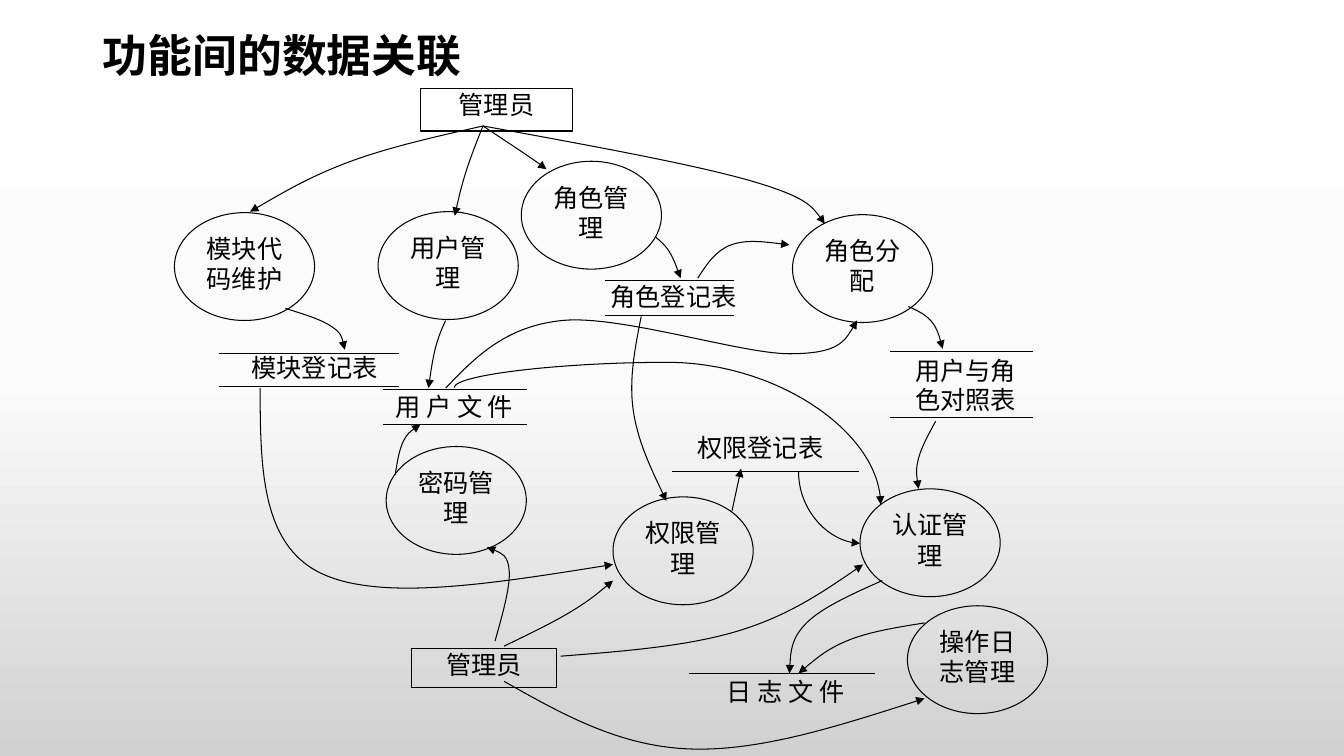
from copy import deepcopy

from lxml.etree import SubElement
from pptx import Presentation
from pptx.dml.color import RGBColor
from pptx.enum.shapes import MSO_CONNECTOR as Connector, MSO_SHAPE as Shape
from pptx.enum.text import MSO_ANCHOR as Anchor, PP_ALIGN as Align
from pptx.oxml.ns import qn
from pptx.util import Cm, Pt

GRID = Cm(2.54)
FONT = "Noto Sans CJK SC"
BLACK = RGBColor(0, 0, 0)
BACKGROUND = [
    RGBColor(0xFF, 0xFF, 0xFF),
    RGBColor(0xFB, 0xFB, 0xFB),
    RGBColor(0xD1, 0xD1, 0xD1),
]

TITLE = "功能间的数据关联"
TITLE_BOX = (0.92, 0.26, 8.5, 0.63)

PROCESS_SIZE = (1.39, 1.07)
PROCESSES = {
    "角色管理": (5.17, 1.6),
    "模块代码维护": (1.73, 2.11),
    "用户管理": (3.75, 2.1),
    "角色分配": (7.86, 2.13),
    "操作日志管理": (9, 6.01),
    "权限管理": (6.08, 4.93),
    "密码管理": (3.83, 4.43),
    "认证管理": (8.53, 4.85),
}

ACTOR = "管理员"
ACTOR_BOXES = [(4.17, 0.88, 1.51, 0.42), (4.08, 6.43, 1.44, 0.39)]

STORE_HEIGHT = 0.47
STORES = [
    ("权限登记表", (6.75, 4.26, 1.58), (6.67, 8.52), [4.68]),
    ("角色登记表", (5.92, 2.76, 1.52), (6, 7.28), [2.78, 3.13]),
    ("模块登记表", (2.08, 3.47, 2.08), (2.17, 3.96), [3.51, 3.83]),
    ("用 户 文 件", (3.85, 3.85, 1.31), (3.8, 5.23), [3.86, 4.21]),
    ("日 志 文 件", (6.75, 6.68, 2.08), (6.83, 8.68), [6.68]),
    ("用户与角色对照表", (8.92, 3.5, 1.31), (8.83, 10.25), [3.49, 4.14]),
]

ADMIN_START = (4.79, 1.25)
ADMIN_FLOWS = [
    [(3.48, 1.6), (2.48, 2.1)],
    [(4.62, 1.71), (4.51, 2.14)],
    [(5.24, 1.55), (5.42, 1.68)],
    [(7.43, 1.79), (8.18, 2.22)],
]
FLOWS = [[ADMIN_START, *points] for points in ADMIN_FLOWS] + [
    [(2.83, 3.06), (3.29, 3.24), (3.42, 3.47)],
    [(4.42, 3.18), (4.32, 3.45), (4.25, 3.85)],
    [(6.5, 2.35), (6.64, 2.5), (6.75, 2.76)],
    [(9.01, 3.04), (9.24, 3.19), (9.35, 3.46)],
    [(4.91, 6.36), (5.05, 5.66), (4.83, 5.43)],
    [(5, 6.41), (5.66, 6.07), (6.08, 5.76)],
    [(6.92, 2.76), (7.25, 2.43), (7.83, 2.43)],
    [(4.42, 3.85), (5.58, 3.18), (7.83, 3.51), (8.5, 3.18)],
    [(6.36, 3.14), (6.28, 4.06), (6.61, 4.97)],
    [(3.92, 4.71), (4, 4.38), (4.17, 4.21)],
    [(2.58, 3.85), (3.17, 5.68), (6.08, 5.6)],
    [(9.17, 6.18), (8.42, 6.35), (7.92, 6.68)],
    [(8.75, 5.76), (8, 6.18), (7.83, 6.68)],
    [(9.28, 4.18), (9.11, 4.55), (9.11, 4.85)],
    [(5.56, 6.51), (7.32, 6.26), (8.56, 5.6)],
    [(5, 6.76), (6.83, 7.43), (9.17, 6.93)],
]

PERMISSION_ARROW = ((7.26, 5.07), (7.35, 4.65))
BENT_FLOWS = [
    ((6.04, 6.54), (7.2, 2.31), 90, "curvedConnector3", -21600, "tailEnd"),
    ((7.92, 4.68), (8.53, 5.39), 180, "curvedConnector2", None, "headEnd"),
]


def lengths(values):
    """Turn grid units into slide lengths."""
    return [round(value * GRID) for value in values]


def style_text(shape, text, size=18, bold=False, spacing=1.0, align=Align.CENTER,
               anchor=Anchor.TOP, insets=(0.1, 0.05)):
    """Write one formatted paragraph into a shape."""
    frame = shape.text_frame
    frame.text = text
    frame.word_wrap = True
    frame.vertical_anchor = anchor
    side, edge = lengths(insets)
    frame.margin_left = frame.margin_right = side
    frame.margin_top = frame.margin_bottom = edge
    paragraph = frame.paragraphs[0]
    paragraph.alignment = align
    paragraph.line_spacing = spacing
    run = paragraph.runs[0]
    run.font.size = Pt(size)
    run.font.bold = bold
    run.font.name = FONT
    run.font.color.rgb = BLACK
    SubElement(run.font._element, qn("a:ea"), typeface=FONT)


def style_line(shape, arrow=None):
    """Give a shape a thin black line, with an arrowhead if named."""
    shape.line.color.rgb = BLACK
    shape.line.width = Pt(0.75)
    if arrow:
        SubElement(shape.line._get_or_add_ln(), qn("a:" + arrow), type="triangle")


def style_outline(shape, arrow=None):
    """Leave only the outline of a shape."""
    shape.shadow.inherit = False
    shape.fill.background()
    style_line(shape, arrow)


def add_outline(slide, kind, box):
    """Add an unfilled preset shape."""
    shape = slide.shapes.add_shape(kind, *lengths(box))
    style_outline(shape)
    return shape


def add_line(slide, begin, end, arrow=None, kind=Connector.STRAIGHT):
    """Add a connector without a shadow."""
    connector = slide.shapes.add_connector(kind, *lengths(begin + end))
    style_line(connector, arrow)
    SubElement(connector._element.spPr, qn("a:effectLst"))
    return connector


def add_bent_flow(slide, begin, end, angle, preset, adjustment, arrow):
    """Add a turned curved connector."""
    properties = add_line(slide, begin, end, arrow, Connector.CURVE)._element.spPr
    properties.find(qn("a:xfrm")).set("rot", str(angle * 60000))
    geometry = properties.find(qn("a:prstGeom"))
    geometry.set("prst", preset)
    if adjustment is not None:
        SubElement(geometry.find(qn("a:avLst")), qn("a:gd"), name="adj1", fmla=f"val {adjustment}")


def middle(first, second):
    """Return the point halfway between two points."""
    return tuple((a + b) / 2 for a, b in zip(first, second))


def smooth_path(points):
    """Return Bezier control and end points of a smooth curve."""
    arriving, leaving = {}, {}
    last = len(points) - 1
    for index in range(1, last):
        trio = list(zip(*points[index - 1:index + 2]))
        arriving[index] = tuple(here - (after - before) / 6 for before, here, after in trio)
        leaving[index] = tuple(here + (after - before) / 6 for before, here, after in trio)
    leaving[0] = middle(points[0], arriving[1])
    arriving[last] = middle(points[last], leaving[last - 1])
    return [point for index in range(last)
            for point in (leaving[index], arriving[index + 1], points[index + 1])]


def add_flow(slide, points):
    """Add an open curved arrow through the points."""
    builder = slide.shapes.build_freeform(*lengths(points[0]))
    builder.add_line_segments([lengths(point) for point in smooth_path(points)], close=False)
    shape = builder.convert_to_shape()
    style_outline(shape, "tailEnd")
    segments = list(shape._element.iter(qn("a:lnTo")))
    outline = segments[0].getparent()
    for first in range(0, len(segments), 3):
        curve = SubElement(outline, qn("a:cubicBezTo"))
        for segment in segments[first:first + 3]:
            curve.append(segment[0])
            outline.remove(segment)


def paint_background(slide):
    """Fill the slide with the vertical gradient."""
    fill = slide.background.fill
    fill.gradient()
    fill.gradient_angle = 270
    stop_list = next(slide._element.iter(qn("a:gsLst")))
    stop_list.insert(1, deepcopy(stop_list[0]))
    for index, (stop, color) in enumerate(zip(fill.gradient_stops, BACKGROUND)):
        stop.position = index / 2
        stop.color.rgb = color


def main():
    """Build and save the data flow slide."""
    presentation = Presentation()
    presentation.slide_width, presentation.slide_height = lengths((13.33, 7.5))
    slide = presentation.slides.add_slide(presentation.slide_layouts[5])
    paint_background(slide)
    title = slide.shapes.title
    title.left, title.top, title.width, title.height = lengths(TITLE_BOX)
    style_text(title, TITLE, 32, True, 0.9, Align.LEFT, Anchor.MIDDLE)

    for text, place, (left, right), heights in STORES:
        label = slide.shapes.add_textbox(*lengths((*place, STORE_HEIGHT)))
        style_text(label, text, spacing=0.96, insets=(0.04, 0.05))
        for height in heights:
            add_line(slide, (left, height), (right, height))
    for text, corner in PROCESSES.items():
        style_text(add_outline(slide, Shape.OVAL, corner + PROCESS_SIZE), text)
    for box in ACTOR_BOXES:
        style_text(add_outline(slide, Shape.RECTANGLE, box), ACTOR, insets=(0.02, 0.01))
    for points in FLOWS:
        add_flow(slide, points)
    add_line(slide, *PERMISSION_ARROW, arrow="tailEnd")
    for flow in BENT_FLOWS:
        add_bent_flow(slide, *flow)
    presentation.save("out.pptx")


if __name__ == "__main__":
    main()
